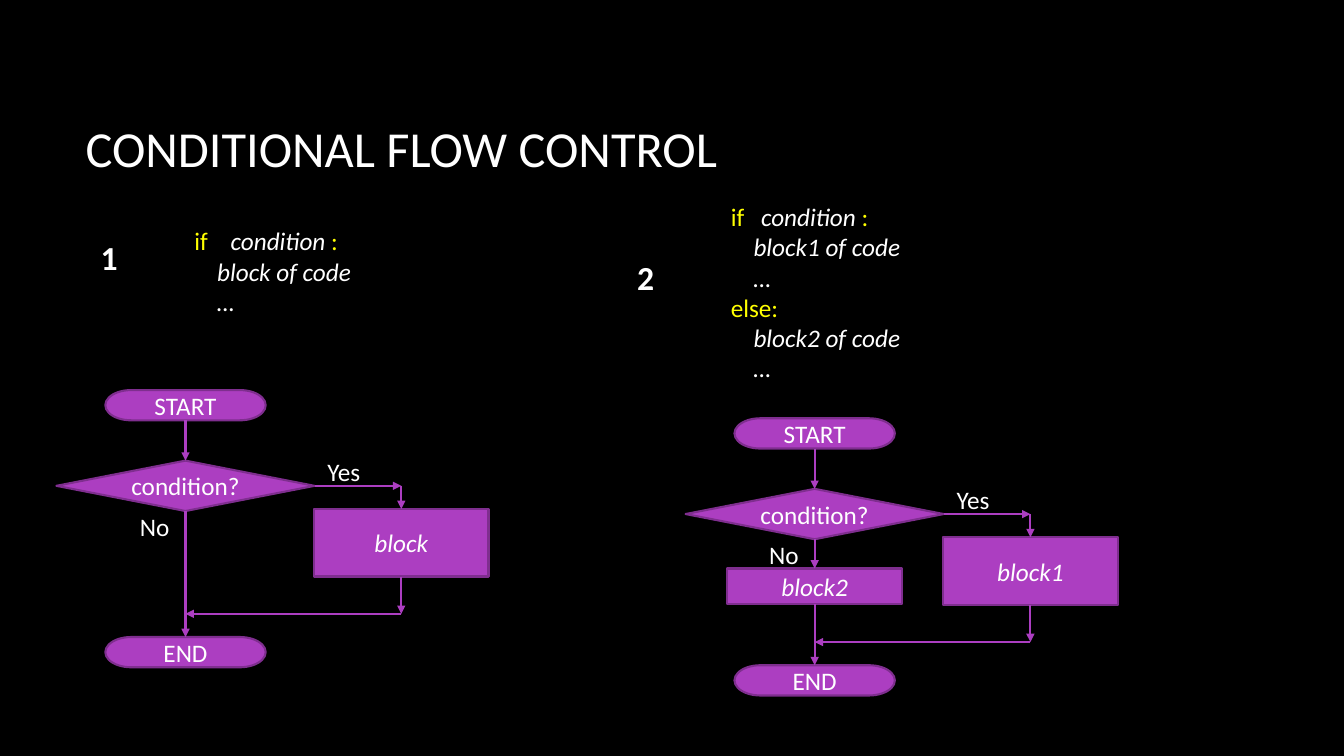
import pptx
import pptx.dml.color
import pptx.enum.shapes
import pptx.enum.text
import pptx.oxml.ns
import pptx.util
from dataclasses import dataclass
from lxml import etree
from pptx.util import Inches

# Content: code lines are lists of (text, style) runs
TITLE = "CONDITIONAL FLOW CONTROL"
CONDITION_LINE = [("if\t", "keyword"), ("condition ", "code"), (":", "keyword")]
EXAMPLES = [
    {
        "number": "1", "number_at": (0.9, 2.3),
        "code_at": (1.83, 2.19, 2.33, 1.01), "condition_tab": 0.36,
        "code": [CONDITION_LINE, [("    block of code", "code")], [("    …", "code")]],
        "chart_offset": (0, 0), "yes_block": "block", "no_block": None,
    },
    {
        "number": "2", "number_at": (6.22, 2.5),
        "code_at": (7.15, 1.95, 2.43, 1.92), "condition_tab": 0.3,
        "code": [CONDITION_LINE, [("    block1 of code", "code")], [("    …", "code")],
                 [("else:", "keyword")],
                 [("    block2 of code", "code")], [("    …", "code")]],
        "chart_offset": (6.24, 0.28), "yes_block": "block1", "no_block": "block2",
    },
]


@dataclass(frozen=True)
class Theme:
    font: str = "Calibri"
    background: str = "000000"
    text: str = "FFFFFF"
    keyword: str = "FFFF00"
    fill: str = "AC3EC1"
    outline: str = "7F2E8F"
    title_size: int = 36
    number_size: int = 24
    body_size: int = 18
    line_width: float = 1.5


THEME = Theme()
SHAPES = pptx.enum.shapes.MSO_SHAPE
TOP, LEFT, BOTTOM, RIGHT = range(4)

# Flowchart geometry, in inches, before the offset of each example
SPINE_X, BRANCH_X = 1.84, 3.98
START_Y, DECISION_Y, YES_BLOCK_Y, NO_BLOCK_Y, END_Y = 3.87, 4.57, 5.05, 5.36, 6.32
MERGE_Y = 6.09
TERMINATOR_SIZE, DECISION_SIZE = (1.59, 0.3), (2.56, 0.5)
YES_BLOCK_SIZE, NO_BLOCK_SIZE = (1.73, 0.67), (1.73, 0.35)


def color(value):
    return pptx.dml.color.RGBColor.from_string(value)


def add_run(paragraph, text, size=THEME.body_size, tint=THEME.text, bold=False, italic=False):
    run = paragraph.add_run()
    run.text = text
    run.font.name = THEME.font
    run.font.size = pptx.util.Pt(size)
    run.font.bold = bold
    run.font.italic = italic
    run.font.color.rgb = color(tint)


def add_text_box(slide, left, top, width, height, wrap):
    box = slide.shapes.add_textbox(*map(Inches, (left, top, width, height)))
    box.text_frame.word_wrap = wrap
    box.text_frame.auto_size = pptx.enum.text.MSO_AUTO_SIZE.SHAPE_TO_FIT_TEXT
    return box.text_frame


def add_label(slide, text, left, top, width, height=0.4, **style):
    frame = add_text_box(slide, left, top, width, height, wrap=False)
    add_run(frame.paragraphs[0], text, **style)


def add_code(slide, example):
    frame = add_text_box(slide, *example["code_at"], wrap=True)
    for index, line in enumerate(example["code"]):
        paragraph = frame.paragraphs[0] if index == 0 else frame.add_paragraph()
        if line is CONDITION_LINE:
            properties = paragraph._p.get_or_add_pPr()
            tabs = etree.SubElement(properties, pptx.oxml.ns.qn("a:tabLst"))
            etree.SubElement(tabs, pptx.oxml.ns.qn("a:tab"),
                             pos=str(Inches(example["condition_tab"])), algn="l")
        for text, style in line:
            is_keyword = style == "keyword"
            add_run(paragraph, text, tint=THEME.keyword if is_keyword else THEME.text,
                    italic=not is_keyword)


def add_node(slide, kind, text, center_x, top, size, italic=False):
    width, height = size
    node = slide.shapes.add_shape(
        kind, *map(Inches, (center_x - width / 2, top, width, height)))
    node.shadow.inherit = False
    node.fill.solid()
    node.fill.fore_color.rgb = color(THEME.fill)
    node.line.color.rgb = color(THEME.outline)
    node.line.width = pptx.util.Pt(THEME.line_width)
    frame = node.text_frame
    frame.margin_left = frame.margin_right = 0
    frame.vertical_anchor = pptx.enum.text.MSO_ANCHOR.MIDDLE
    paragraph = frame.paragraphs[0]
    paragraph.alignment = pptx.enum.text.PP_ALIGN.CENTER
    add_run(paragraph, text, italic=italic)
    return node


def add_arrow(slide, start, end):
    """Each end is either an (x, y) point in inches or a (node, side) pair."""
    arrow = slide.shapes.add_connector(pptx.enum.shapes.MSO_CONNECTOR.STRAIGHT, 0, 0, 0, 0)
    if isinstance(start[0], (int, float)):
        arrow.begin_x, arrow.begin_y = map(Inches, start)
    else:
        arrow.begin_connect(*start)
    if isinstance(end[0], (int, float)):
        arrow.end_x, arrow.end_y = map(Inches, end)
    else:
        arrow.end_connect(*end)
    arrow.line.color.rgb = color(THEME.fill)
    arrow.line.width = pptx.util.Pt(THEME.line_width)
    etree.SubElement(arrow.line._get_or_add_ln(), pptx.oxml.ns.qn("a:tailEnd"), type="triangle")
    etree.SubElement(arrow._element.spPr, pptx.oxml.ns.qn("a:effectLst"))


def add_flowchart(slide, example):
    dx, dy = example["chart_offset"]
    spine, branch = SPINE_X + dx, BRANCH_X + dx

    # Nodes
    start = add_node(slide, SHAPES.FLOWCHART_TERMINATOR, "START", spine, START_Y + dy,
                     TERMINATOR_SIZE)
    decision = add_node(slide, SHAPES.FLOWCHART_DECISION, "condition?", spine,
                        DECISION_Y + dy, DECISION_SIZE)
    yes_block = add_node(slide, SHAPES.FLOWCHART_PROCESS, example["yes_block"], branch,
                         YES_BLOCK_Y + dy, YES_BLOCK_SIZE, italic=True)
    end = add_node(slide, SHAPES.FLOWCHART_TERMINATOR, "END", spine, END_Y + dy,
                   TERMINATOR_SIZE)
    spine_nodes = [start, decision, end]
    if example["no_block"]:
        no_block = add_node(slide, SHAPES.FLOWCHART_PROCESS, example["no_block"], spine,
                            NO_BLOCK_Y + dy, NO_BLOCK_SIZE, italic=True)
        spine_nodes.insert(2, no_block)

    # Arrows down the spine, then around the "Yes" branch
    for upper, lower in zip(spine_nodes, spine_nodes[1:]):
        add_arrow(slide, (upper, BOTTOM), (lower, TOP))
    corner = (branch, DECISION_Y + DECISION_SIZE[1] / 2 + dy)
    merge_corner = (branch, MERGE_Y + dy)
    add_arrow(slide, (decision, RIGHT), corner)
    add_arrow(slide, corner, (yes_block, TOP))
    add_arrow(slide, (yes_block, BOTTOM), merge_corner)
    add_arrow(slide, merge_corner, (spine, MERGE_Y + dy))

    # Branch labels
    add_label(slide, "Yes", 3.15 + dx, 4.48 + dy, 0.53)
    add_label(slide, "No", 1.29 + dx, 5.02 + dy, 0.5)


def add_title(slide):
    title = slide.shapes.title
    title.left, title.top, title.width, title.height = map(Inches, (0.75, 0.67, 11.08, 1.59))
    title.text_frame.vertical_anchor = pptx.enum.text.MSO_ANCHOR.MIDDLE
    paragraph = title.text_frame.paragraphs[0]
    paragraph.alignment = pptx.enum.text.PP_ALIGN.LEFT
    add_run(paragraph, TITLE, size=THEME.title_size)


def main():
    presentation = pptx.Presentation()
    presentation.slide_width, presentation.slide_height = Inches(13.33), Inches(7.5)
    slide = presentation.slides.add_slide(presentation.slide_layouts.get_by_name("Title Only"))
    slide.background.fill.solid()
    slide.background.fill.fore_color.rgb = color(THEME.background)

    add_title(slide)
    for example in EXAMPLES:
        add_label(slide, example["number"], *example["number_at"], 0.37, 0.5,
                  size=THEME.number_size, bold=True)
        add_code(slide, example)
        add_flowchart(slide, example)
    presentation.save("out.pptx")


if __name__ == "__main__":
    main()
